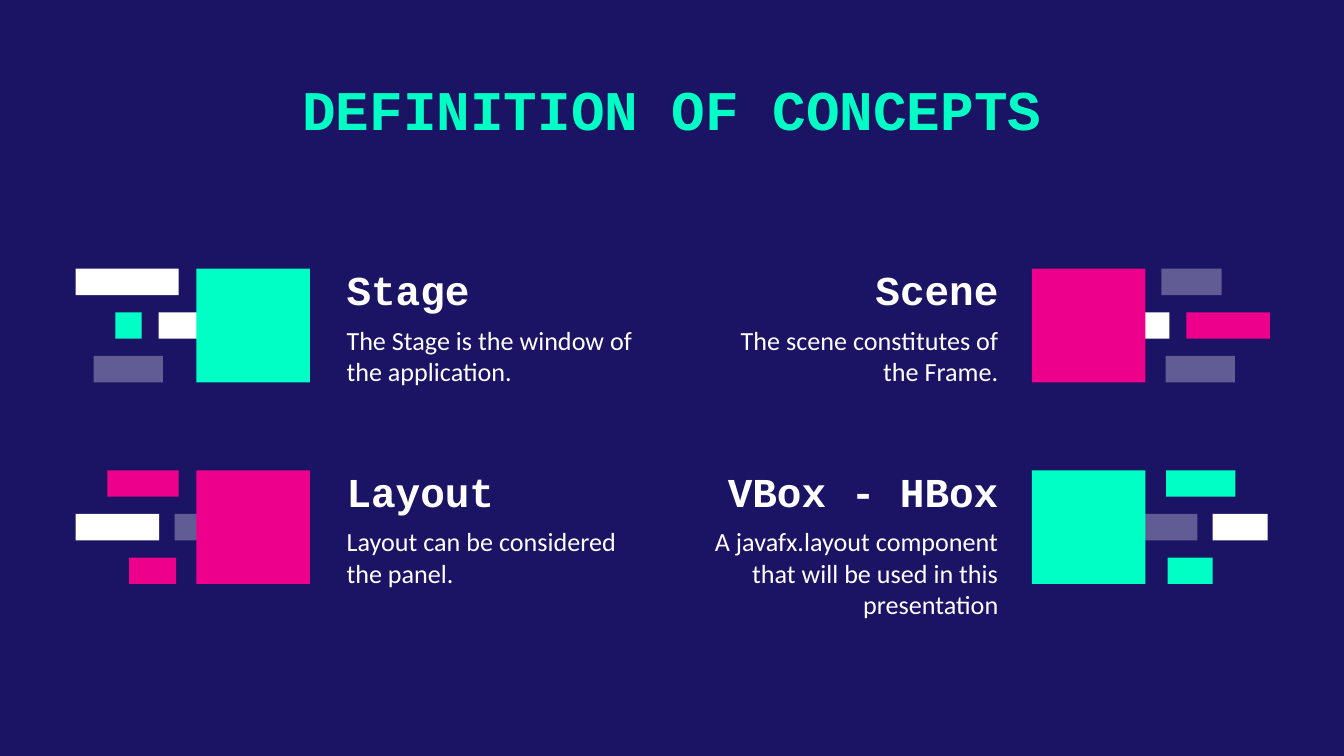
import pptx
import pptx.util
import pptx.dml.color
import pptx.enum.shapes
import pptx.enum.text
import lxml.etree
from dataclasses import dataclass

Cm, Pt = pptx.util.Cm, pptx.util.Pt
Align, Anchor = pptx.enum.text.PP_ALIGN, pptx.enum.text.MSO_ANCHOR


@dataclass(frozen=True)
class Theme:
    navy: str = "1B1464"
    mint: str = "00FFC5"
    pink: str = "EC008C"
    white: str = "FFFFFF"
    faded_alpha: int = 31  # percent, for the faded white bars
    title_size: int = 30
    heading_size: int = 22
    body_size: int = 14
    heading_font: str = "Courier New"
    body_font: str = "Calibri"


theme = Theme()
FADED = "faded"


def add_block(s, x, y, w, h, color):
    """Add a plain rectangle; FADED stands for see-through white."""
    sp = s.shapes.add_shape(pptx.enum.shapes.MSO_SHAPE.RECTANGLE, Cm(x), Cm(y), Cm(w), Cm(h))
    sp.shadow.inherit = False
    sp.line.fill.background()
    sp.fill.solid()
    rgb = theme.white if color == FADED else color
    sp.fill.fore_color.rgb = pptx.dml.color.RGBColor.from_string(rgb)
    if color == FADED:
        clr = sp._element.spPr.find(".//" + pptx.oxml.ns.qn("a:srgbClr"))
        alpha = lxml.etree.SubElement(clr, pptx.oxml.ns.qn("a:alpha"))
        alpha.set("val", str(theme.faded_alpha * 1000))


def write(sp, text, size, font, color, align, anchor, bold, top=0, bottom=0):
    """Fill a text shape with one paragraph; top and bottom are insets in cm."""
    tf = sp.text_frame
    tf.word_wrap = True
    tf.auto_size = pptx.enum.text.MSO_AUTO_SIZE.NONE
    tf.vertical_anchor = anchor
    tf.margin_left = tf.margin_right = Cm(0.25)
    tf.margin_top, tf.margin_bottom = Cm(top), Cm(bottom)
    p = tf.paragraphs[0]
    p.text = text
    p.alignment = align
    p.font.size, p.font.name, p.font.bold = Pt(size), font, bold
    p.font.color.rgb = pptx.dml.color.RGBColor.from_string(color)
    return p


prs = pptx.Presentation()
prs.slide_width, prs.slide_height = Cm(25.4), Cm(14.29)
s = prs.slides.add_slide(prs.slide_layouts.get_by_name("Title Only"))
s.background.fill.solid()
s.background.fill.fore_color.rgb = pptx.dml.color.RGBColor.from_string(theme.navy)

title = s.shapes.title
title.left, title.top, title.width, title.height = Cm(3.56), Cm(0.97), Cm(18.28), Cm(1.85)
p = write(title, "DEFINITION OF CONCEPTS", theme.title_size, theme.heading_font,
          theme.mint, Align.CENTER, Anchor.TOP, True, top=0.25, bottom=0.25)
p.line_spacing = 1.15

# Grid, in cm
ROW_TOPS = (5.08, 8.89)
SQUARE_LEFTS = (3.71, 19.5)
TEXT_LEFTS = (6.3, 13.1)
TEXT_WIDTH = 6.02
SQUARE = 2.15
BAR_HEIGHT = 0.5
BAR_PITCH = (SQUARE - BAR_HEIGHT) / 2

# row, column, square colour, heading, description, bars (left, line, width, colour)
cards = [
    (0, 0, theme.mint, "Stage", "The Stage is the window of the application.",
     [(1.43, 0, 1.95, theme.white), (2.18, 1, 0.5, theme.mint),
      (3, 1, 0.9, theme.white), (1.77, 2, 1.31, FADED)]),
    (0, 1, theme.pink, "Scene", "The scene constitutes of the Frame.",
     [(21.95, 0, 1.14, FADED), (21.49, 1, 0.61, theme.white),
      (22.42, 1, 1.58, theme.pink), (22.03, 2, 1.31, FADED)]),
    (1, 0, theme.pink, "Layout", "Layout can be considered the panel.",
     [(2.03, 0, 1.35, theme.pink), (1.43, 1, 1.58, theme.white),
      (3.3, 1, 0.61, FADED), (2.44, 2, 0.89, theme.pink)]),
    (1, 1, theme.mint, "VBox - HBox",
     "A javafx.layout component that will be used in this presentation",
     [(22.04, 0, 1.31, theme.mint), (21.49, 1, 1.14, FADED),
      (22.92, 1, 1.04, theme.white), (22.07, 2, 0.85, theme.mint)]),
]

for row, col, color, heading, description, bars in cards:
    top = ROW_TOPS[row]
    for left, line, width, bar_color in bars:
        add_block(s, left, top + line * BAR_PITCH, width, BAR_HEIGHT, bar_color)
    add_block(s, SQUARE_LEFTS[col], top, SQUARE, SQUARE, color)

    align = Align.RIGHT if col else Align.LEFT
    x, w = Cm(TEXT_LEFTS[col]), Cm(TEXT_WIDTH)
    sp = s.shapes.add_textbox(x, Cm(top - 0.14), w, Cm(1))
    write(sp, heading, theme.heading_size, theme.heading_font, theme.white,
          align, Anchor.BOTTOM, True)
    sp = s.shapes.add_textbox(x, Cm(top + 1.05), w, Cm(1.14))
    write(sp, description, theme.body_size, theme.body_font, theme.white,
          align, Anchor.TOP, False, bottom=0.25)

prs.save("out.pptx")
